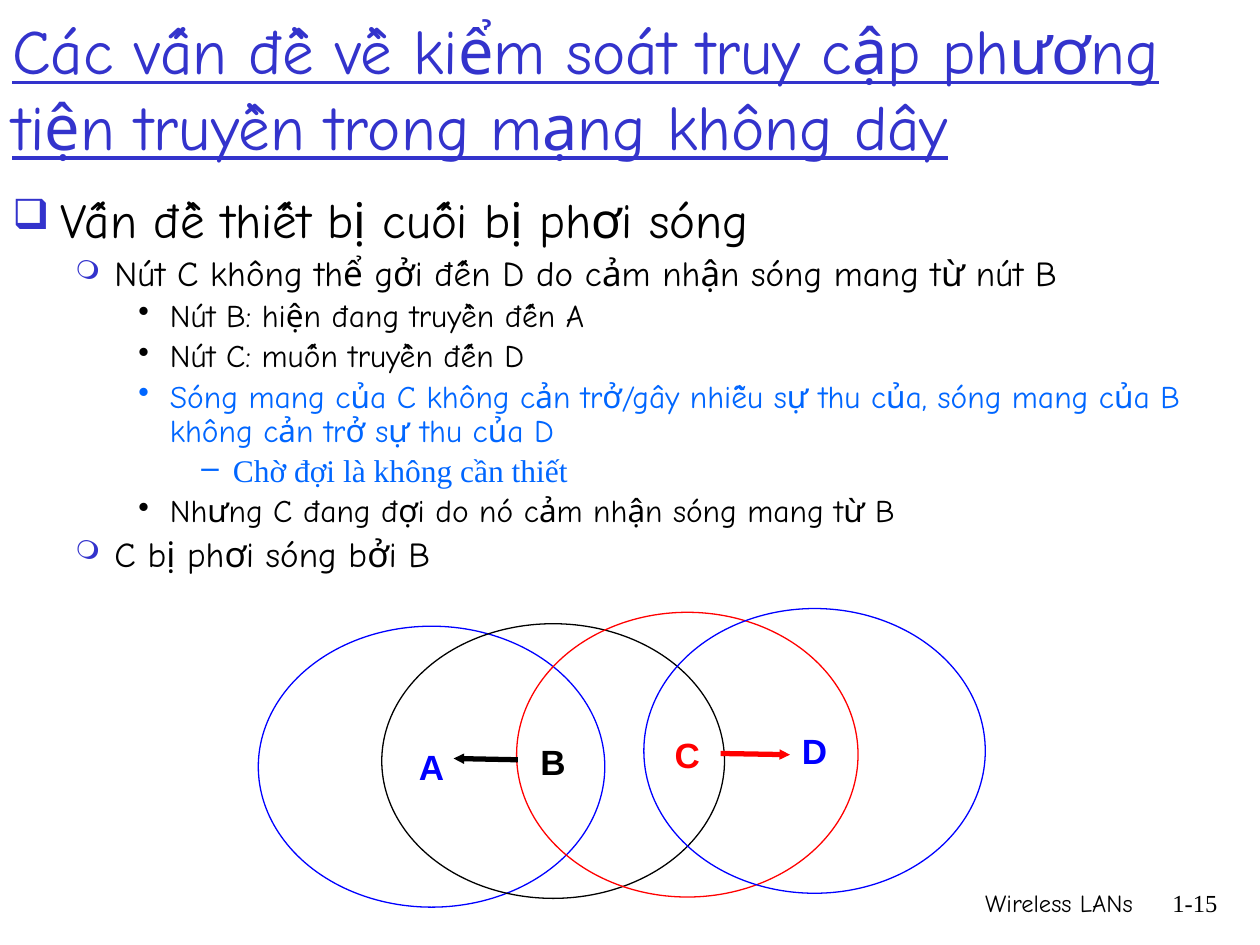
from lxml.etree import SubElement
from pptx import Presentation
from pptx.dml.color import RGBColor
from pptx.enum.shapes import MSO_CONNECTOR, MSO_SHAPE
from pptx.enum.text import MSO_ANCHOR, PP_ALIGN
from pptx.oxml.ns import qn
from pptx.util import Inches, Pt

COLUMNS, ROWS = 100, 75
COMIC, TIMES, ARIAL = "Comic Neue", "Times New Roman", "Arial"
BLACK, RED, BLUE = "000000", "FF0000", "0000FF"
INDIGO, SKY = "3333CC", "0066FF"

# Outline level: indent, hanging, text size, font, bullet, bullet colour, bullet percent
LEVELS = [
    (0.38, 0.38, 28, COMIC, "❑", INDIGO, 85),
    (0.81, 0.31, 20, COMIC, "❍", INDIGO, 75),
    (1.25, 0.25, 18, COMIC, "•", None, 100),
    (1.75, 0.25, 18, TIMES, "–", None, 100),
]
OUTLINE = [
    (0, "Vấn đề thiết bị cuối bị phơi sóng", BLACK),
    (1, "Nút C không thể gởi đến D do cảm nhận sóng mang từ nút B", BLACK),
    (2, "Nút B: hiện đang truyền đến A", BLACK),
    (2, "Nút C: muốn truyền đến D", BLACK),
    (2, "Sóng mang của C không cản trở/gây nhiễu sự thu của, "
        "sóng mang của B không cản trở sự thu của D", SKY),
    (3, "Chờ đợi là không cần thiết", SKY),
    (2, "Nhưng C đang đợi do nó cảm nhận sóng mang từ B", BLACK),
    (1, "C bị phơi sóng bởi B", BLACK),
]


def color(value):
    return RGBColor.from_string(value)


class SlideBuilder:
    """Places styled elements on a grid of 100 columns by 75 rows."""

    def __init__(self, presentation):
        self.column = presentation.slide_width / COLUMNS
        self.row = presentation.slide_height / ROWS
        self.slide = presentation.slides.add_slide(presentation.slide_layouts[6])

    def grid(self, *values):
        units = (self.column, self.row) * 2
        return [round(value * unit) for value, unit in zip(values, units)]

    def style(self, paragraph, size, font, tint, bold=False, underline=False):
        for run in paragraph.runs:
            run.font.size = Pt(size)
            run.font.name = font
            run.font.color.rgb = color(tint)
            run.font.bold = bold
            run.font.underline = underline

    def text(self, place, words, size, font, tint, align=PP_ALIGN.LEFT,
             anchor=MSO_ANCHOR.TOP, underline=False):
        frame = self.slide.shapes.add_textbox(*self.grid(*place)).text_frame
        frame.word_wrap = True
        frame.vertical_anchor = anchor
        frame.text = words
        paragraph = frame.paragraphs[0]
        paragraph.alignment = align
        self.style(paragraph, size, font, tint, underline=underline)

    def outline(self, place, items):
        frame = self.slide.shapes.add_textbox(*self.grid(*place)).text_frame
        frame.word_wrap = True
        frame.text = "\n".join(words for _, words, _ in items)
        for paragraph, (level, _, tint) in zip(frame.paragraphs, items):
            size, font = LEVELS[level][2:4]
            paragraph.level = level
            paragraph.line_spacing = 0.9
            self.style(paragraph, size, font, tint)
            self.bullet(paragraph, level)

    def bullet(self, paragraph, level):
        indent, hanging, _, _, mark, tint, percent = LEVELS[level]
        properties = paragraph._p.get_or_add_pPr()
        properties.set("marL", str(Inches(indent)))
        properties.set("indent", str(-Inches(hanging)))
        before = SubElement(properties, qn("a:spcBef"))
        SubElement(before, qn("a:spcPct"), val="20000")
        if tint:
            SubElement(SubElement(properties, qn("a:buClr")), qn("a:srgbClr"), val=tint)
        SubElement(properties, qn("a:buSzPct"), val=str(percent * 1000))
        SubElement(properties, qn("a:buChar"), char=mark)

    def radio_range(self, place, name, tint):
        shape = self.slide.shapes.add_shape(MSO_SHAPE.OVAL, *self.grid(*place))
        shape.shadow.inherit = False
        shape.fill.background()
        shape.line.color.rgb = color(tint)
        shape.line.width = Pt(0.75)
        frame = shape.text_frame
        frame.word_wrap = False
        frame.vertical_anchor = MSO_ANCHOR.MIDDLE
        frame.text = name
        frame.paragraphs[0].alignment = PP_ALIGN.CENTER
        self.style(frame.paragraphs[0], 20, ARIAL, tint, bold=True)

    def arrow(self, ends, tint):
        connector = self.slide.shapes.add_connector(
            MSO_CONNECTOR.STRAIGHT, *self.grid(*ends))
        connector.line.color.rgb = color(tint)
        connector.line.width = Pt(3)
        SubElement(connector.line._get_or_add_ln(), qn("a:tailEnd"),
                   type="triangle", w="sm", len="sm")
        SubElement(connector._element.spPr, qn("a:effectLst"))


def main():
    presentation = Presentation()
    presentation.slide_width, presentation.slide_height = Inches(10), Inches(7.5)
    builder = SlideBuilder(presentation)

    # Footer and slide number
    builder.text((59.2, 70, 31.7, 5), "Wireless LANs", 14, COMIC, BLACK, PP_ALIGN.RIGHT)
    builder.text((90.8, 70, 6.8, 5), "1-15", 14, TIMES, BLACK, PP_ALIGN.RIGHT)

    # Outline
    builder.outline((0, 15.1, 95, 28.6), OUTLINE)

    # Radio ranges of the four nodes, with the transmissions C to D and B to A
    builder.radio_range((20.5, 49.7, 27.5, 22.3), "A", BLUE)
    builder.radio_range((30.3, 49.5, 27.2, 21.8), "B", BLACK)
    builder.radio_range((41, 48.6, 27.1, 22.6), "C", RED)
    builder.arrow((57.2, 59.8, 62.7, 59.9), RED)
    builder.radio_range((51.1, 48.3, 27.1, 22.6), "D", BLUE)
    builder.arrow((41.1, 60.3, 36, 60.2), BLACK)

    # Title
    builder.text((0, 0.9, 100, 12.5),
                 "Các vấn đề về kiểm soát truy cập phương tiện truyền trong mạng không dây",
                 36, COMIC, INDIGO, anchor=MSO_ANCHOR.BOTTOM, underline=True)

    presentation.save("out.pptx")


if __name__ == "__main__":
    main()
